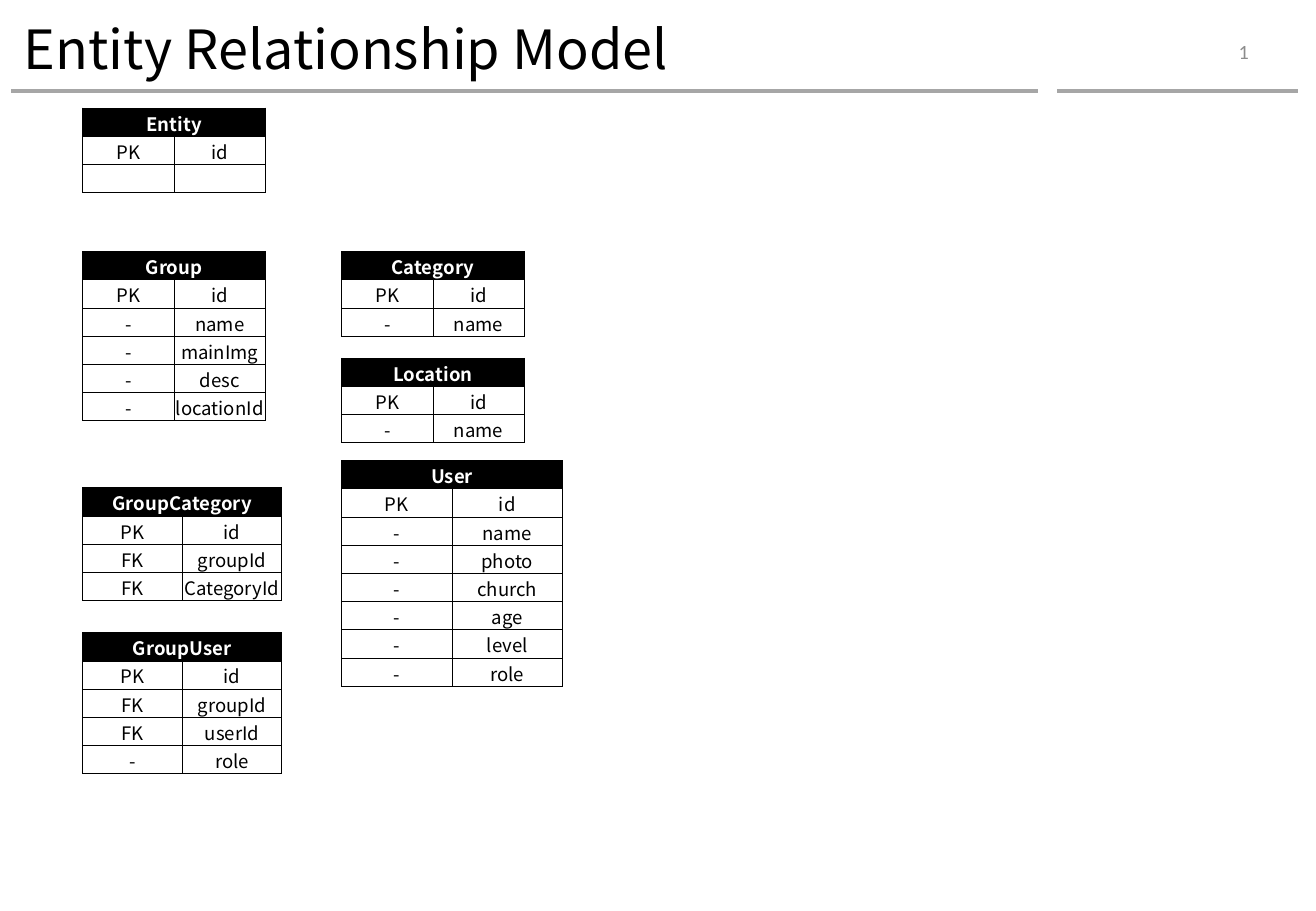
from lxml.etree import SubElement
from pptx import Presentation
from pptx.dml.color import RGBColor as RGB
from pptx.enum.shapes import MSO_CONNECTOR as Connector
from pptx.enum.text import MSO_ANCHOR as Anchor, PP_ALIGN as Align
from pptx.oxml.ns import qn
from pptx.util import Cm, Pt

COLORS = {"ink": "000000", "paper": "FFFFFF", "rule": "A6A6A6", "page": "8C8C8C"}
BODY_FONT = "Noto Sans CJK KR"
ROW_HEIGHT = 0.59
LEFT, MIDDLE = 1.73, 7.14
NARROW, MEDIUM, WIDE = 1.91, 2.08, 2.31

ENTITIES = [
    ("Entity", LEFT, 2.26, NARROW, ["PK id", ""]),
    ("Group", LEFT, 5.26, NARROW,
     ["PK id", "- name", "- mainImg", "- desc", "- locationId"]),
    ("Category", MIDDLE, 5.26, NARROW, ["PK id", "- name"]),
    ("Location", MIDDLE, 7.49, NARROW, ["PK id", "- name"]),
    ("User", MIDDLE, 9.63, WIDE,
     ["PK id", "- name", "- photo", "- church", "- age", "- level", "- role"]),
    ("GroupCategory", LEFT, 10.2, MEDIUM,
     ["PK id", "FK groupId", "FK CategoryId"]),
    ("GroupUser", LEFT, 13.23, MEDIUM,
     ["PK id", "FK groupId", "FK userId", "- role"]),
]


class ModelSlide:
    """Draws the parts of an entity relationship slide in one style."""

    def __init__(self, slide):
        self.slide = slide
        self.cell_format = {
            "margin_left": Cm(0.03), "margin_right": Cm(0.03),
            "margin_top": Cm(0.03), "margin_bottom": 0,
            "vertical_anchor": Anchor.MIDDLE,
        }
        self.table_format = {"first_row": False, "horz_banding": False}

    def apply(self, target, formats):
        for name, value in formats.items():
            setattr(target, name, value)

    def add_words(self, paragraph, text, color, **formats):
        run = paragraph.add_run()
        run.text = text
        self.apply(run.font, formats)
        run.font.color.rgb = RGB.from_string(COLORS[color])

    def label(self, text, box, color, align, spacing, **formats):
        frame = self.slide.shapes.add_textbox(*map(Cm, box)).text_frame
        self.apply(frame, {"word_wrap": True, "vertical_anchor": Anchor.MIDDLE})
        paragraph = frame.paragraphs[0]
        self.apply(paragraph, {"alignment": align, "line_spacing": spacing})
        self.add_words(paragraph, text, color, **formats)

    def rule(self, start, end, height):
        rule = self.slide.shapes.add_connector(
            Connector.STRAIGHT, Cm(start), Cm(height), Cm(end), Cm(height))
        rule.line.width = Pt(2.25)
        rule.line.color.rgb = RGB.from_string(COLORS["rule"])
        SubElement(rule._element.spPr, qn("a:effectLst"))

    def border(self, cell):
        properties = cell._tc.get_or_add_tcPr()
        for side in ("a:lnL", "a:lnR", "a:lnT", "a:lnB"):
            edge = SubElement(properties, qn(side), w=str(Pt(0.5)))
            paint = SubElement(edge, qn("a:solidFill"))
            SubElement(paint, qn("a:srgbClr"), val=COLORS["ink"])

    def cell(self, cell, text, header):
        self.apply(cell, self.cell_format)
        self.border(cell)
        if header:
            cell.fill.solid()
            cell.fill.fore_color.rgb = RGB.from_string(COLORS["ink"])
        else:
            cell.fill.background()
        paragraph = cell.text_frame.paragraphs[0]
        paragraph.alignment = Align.CENTER
        if text:
            self.add_words(paragraph, text, "paper" if header else "ink",
                           name=BODY_FONT, size=Pt(11), bold=header)
        else:
            SubElement(paragraph._p, qn("a:endParaRPr"), sz="1100")

    def entity(self, title, left, top, column_width, fields):
        rows = [(title, "")] + [field.split() or ("", "") for field in fields]
        table = self.slide.shapes.add_table(
            len(rows), 2, Cm(left), Cm(top),
            Cm(2 * column_width), Cm(ROW_HEIGHT * len(rows))).table
        self.apply(table, self.table_format)
        for column in table.columns:
            column.width = Cm(column_width)
        for index, texts in enumerate(rows):
            table.rows[index].height = Cm(ROW_HEIGHT)
            for side, text in enumerate(texts):
                self.cell(table.cell(index, side), text, index == 0)
        table.cell(0, 0).merge(table.cell(0, 1))


def main():
    deck = Presentation()
    deck.slide_width, deck.slide_height = Cm(27.51), Cm(19.05)
    model = ModelSlide(deck.slides.add_slide(deck.slide_layouts[6]))
    model.label("Entity Relationship Model", (0.25, 0.23, 23.39, 1.7), "ink",
                Align.LEFT, 0.9, name=BODY_FONT, size=Pt(32))
    model.rule(0.23, 21.69, 1.91)
    model.rule(22.1, 27.13, 1.91)
    model.label("1", (20.37, 0.56, 5.99, 1.02), "page",
                Align.RIGHT, 1.0, name="Calibri", size=Pt(12))
    for entity in ENTITIES:
        model.entity(*entity)
    deck.save("out.pptx")


if __name__ == "__main__":
    main()
